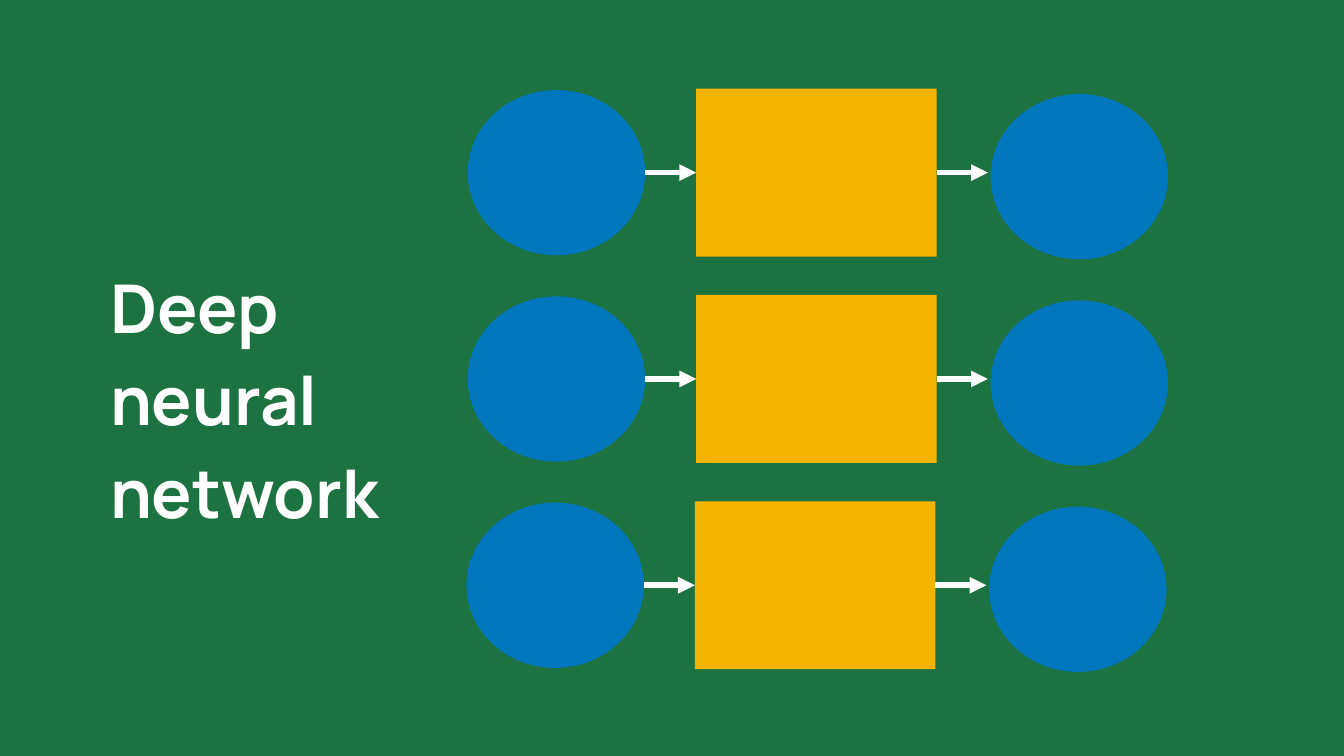
"""Build a slide showing a deep neural network as three parallel rows."""
from dataclasses import dataclass

from lxml import etree
from pptx import Presentation
from pptx import util as u
from pptx.dml.color import RGBColor
from pptx.enum import shapes, text
from pptx.oxml.ns import qn

TITLE = "Deep neural network"
TITLE_BOX = (0.72, 2.36, 2.44, 1.7)
SLIDE_WIDTH = 10
SLIDE_SIZE = (SLIDE_WIDTH, SLIDE_WIDTH * 9 / 16)

ROW_LEFTS = (3.48, 3.48, 3.47)
FIRST_ROW_TOP, LAST_ROW_TOP = 0.66, 3.73
ROW_STEP = (LAST_ROW_TOP - FIRST_ROW_TOP) / (len(ROW_LEFTS) - 1)
NODES = {
    "input": {"kind": "OVAL", "colour": "node", "at": (0, 0.01), "size": (1.32, 1.23)},
    "layer": {"kind": "RECTANGLE", "colour": "layer", "at": (1.7, 0), "size": (1.79, 1.25)},
    "output": {"kind": "OVAL", "colour": "node", "at": (3.89, 0.04), "size": (1.32, 1.23)},
}
ARROW_LENGTH = 0.38
LEFT_SIDE, RIGHT_SIDE = 1, 3


@dataclass(frozen=True)
class Theme:
    """Colours, font and sizes of the slide."""
    background: str = "1C7241"
    node: str = "0277BD"
    layer: str = "F4B400"
    light: str = "FFFFFF"
    font: str = "Manrope"
    title_size: int = 36
    arrow_width: int = 3


THEME = Theme()


def paint(fill, colour):
    """Give a fill one solid colour."""
    fill.solid()
    fill.fore_color.rgb = RGBColor.from_string(colour)


def place(shape, left, top, width, height):
    """Set position and size in inches."""
    shape.left, shape.top = u.Inches(left), u.Inches(top)
    shape.width, shape.height = u.Inches(width), u.Inches(height)


def write_title(page):
    """Format the title placeholder and fill it."""
    title = page.shapes.title
    place(title, *TITLE_BOX)
    frame = title.text_frame
    frame.word_wrap = True
    frame.auto_size = text.MSO_AUTO_SIZE.NONE
    frame.vertical_anchor = text.MSO_ANCHOR.BOTTOM
    frame.margin_left = frame.margin_right = u.Inches(0.1)
    frame.margin_top = frame.margin_bottom = u.Inches(0.1)
    para = frame.paragraphs[0]
    para.alignment = text.PP_ALIGN.LEFT
    para.line_spacing, para.space_before, para.space_after = 1.15, u.Pt(0), u.Pt(18)
    span = para.add_run()
    span.text = TITLE
    span.font.name, span.font.size, span.font.bold = THEME.font, u.Pt(THEME.title_size), True
    span.font.color.rgb = RGBColor.from_string(THEME.light)


def add_node(page, node, row_left, row_top):
    """Draw one node of a row."""
    (dx, dy), (width, height) = node["at"], node["size"]
    kind = shapes.MSO_SHAPE[node["kind"]]
    shape = page.shapes.add_shape(kind, 0, 0, 0, 0)
    place(shape, row_left + dx, row_top + dy, width, height)
    paint(shape.fill, getattr(THEME, node["colour"]))
    shape.line.fill.background()
    shape.shadow.inherit = False
    return shape


def add_arrow(page, start, y):
    """Draw a horizontal arrow pointing right."""
    arrow = page.shapes.add_connector(
        shapes.MSO_CONNECTOR.STRAIGHT, start, y, start + u.Inches(ARROW_LENGTH), y)
    paint(arrow.line.fill, THEME.light)
    arrow.line.width = u.Pt(THEME.arrow_width)
    line = arrow._element.spPr.find(qn("a:ln"))
    etree.SubElement(line, qn("a:tailEnd"), type="triangle")
    etree.SubElement(arrow._element.spPr, qn("a:effectLst"))
    return arrow


def add_row(page, left, top):
    """Draw input, layer and output with the arrows between them."""
    row = {name: add_node(page, node, left, top) for name, node in NODES.items()}
    layer = row["layer"]
    middle = layer.top + layer.height // 2
    incoming = add_arrow(page, layer.left - u.Inches(ARROW_LENGTH), middle)
    incoming.end_connect(layer, LEFT_SIDE)
    outgoing = add_arrow(page, layer.left + layer.width, middle)
    outgoing.begin_connect(layer, RIGHT_SIDE)


def main():
    """Compose and save the deck."""
    deck = Presentation()
    deck.slide_width, deck.slide_height = map(u.Inches, SLIDE_SIZE)
    page = deck.slides.add_slide(deck.slide_layouts[0])
    paint(page.background.fill, THEME.background)
    subtitle = page.placeholders[1].element
    subtitle.getparent().remove(subtitle)
    write_title(page)
    for index, left in enumerate(ROW_LEFTS):
        add_row(page, left, FIRST_ROW_TOP + index * ROW_STEP)
    deck.save("out.pptx")


if __name__ == "__main__":
    main()
